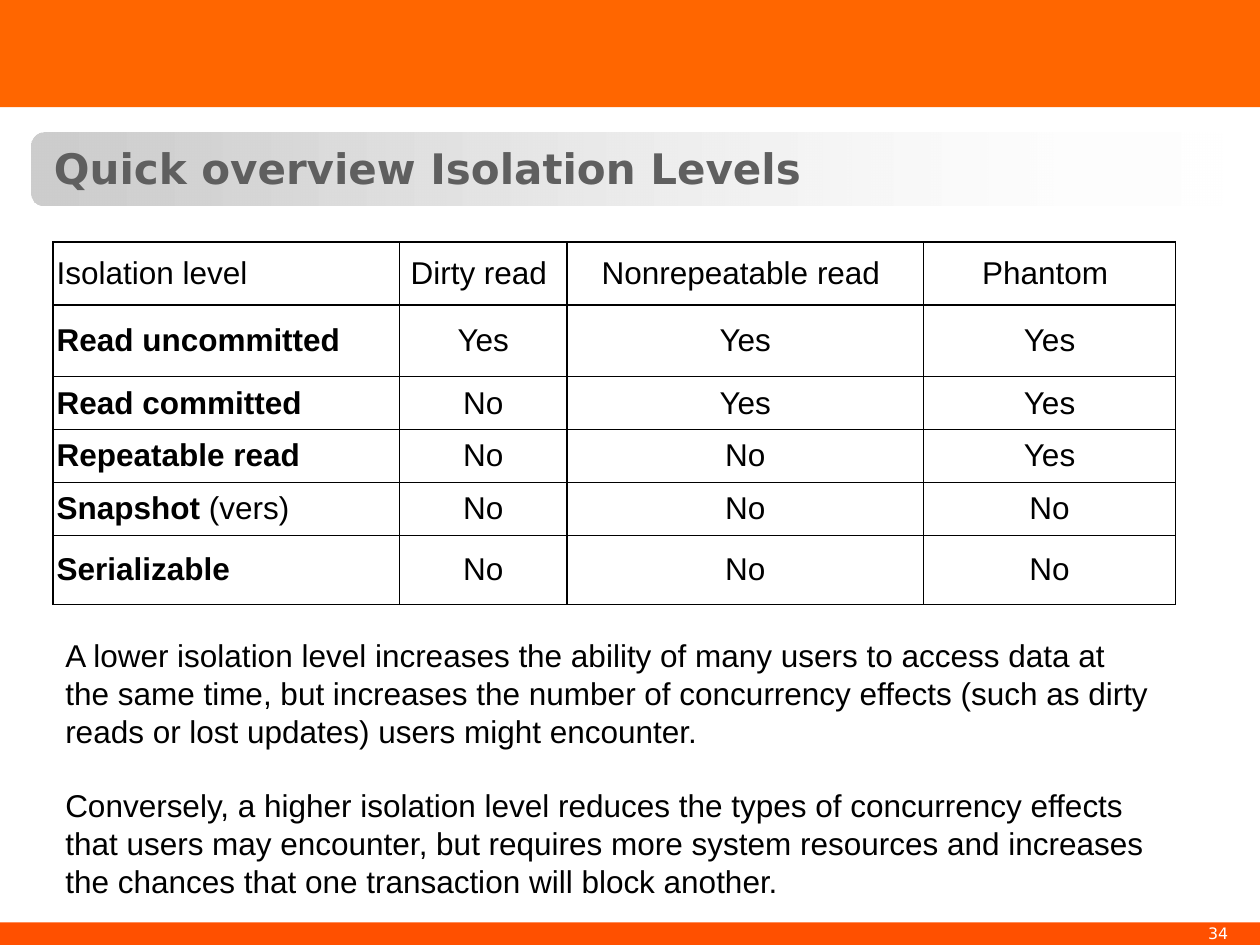
from lxml.etree import SubElement
from pptx import Presentation
from pptx.dml.color import RGBColor
from pptx.enum.shapes import MSO_SHAPE
from pptx.enum.text import MSO_ANCHOR, PP_ALIGN
from pptx.oxml import parse_xml
from pptx.oxml.ns import nsdecls, qn
from pptx.util import Inches, Pt

ORANGE = RGBColor(0xFF, 0x66, 0x00)
DARK_ORANGE = RGBColor(0xFF, 0x50, 0x00)
SILVER = RGBColor(0xCD, 0xCD, 0xCD)
GRAY = RGBColor(0x5F, 0x5F, 0x5F)
WHITE = RGBColor(0xFF, 0xFF, 0xFF)
BLACK = RGBColor(0x00, 0x00, 0x00)

COL_WIDTHS = [2.75, 1.33, 2.83, 2]
ROW_HEIGHTS = [0.5, 0.57, 0.42, 0.42, 0.42, 0.55]
HEADER = ["Isolation level", "Dirty read ", "Nonrepeatable read ", "Phantom "]
LEVELS = [
    ("Read uncommitted", "", "Yes", "Yes", "Yes"),
    ("Read committed", "", "No", "Yes", "Yes"),
    ("Repeatable read", "", "No", "No", "Yes"),
    ("Snapshot ", "(vers)", "No", "No", "No"),
    ("Serializable", "", "No", "No", "No"),
]
EXPLANATION = [
    "A lower isolation level increases the ability of many users to access data at "
    "the same time, but increases the number of concurrency effects (such as dirty "
    "reads or lost updates) users might encounter.",
    "Conversely, a higher isolation level reduces the types of concurrency effects "
    "that users may encounter, but requires more system resources and increases "
    "the chances that one transaction will block another.",
]


def format_run(r, size, color, font="Arial", bold=False):
    r.font.size = Pt(size)
    r.font.name = font
    r.font.bold = bold
    r.font.color.rgb = color


def add_plain_shape(s, kind, left, top, width, height):
    sp = s.shapes.add_shape(kind, Inches(left), Inches(top), Inches(width), Inches(height))
    sp.shadow.inherit = False
    sp.line.fill.background()
    return sp


def add_band(s, top, height, color):
    sp = add_plain_shape(s, MSO_SHAPE.RECTANGLE, 0, top, 10, height)
    sp.fill.solid()
    sp.fill.fore_color.rgb = color


def add_title_bar(s):
    sp = add_plain_shape(s, MSO_SHAPE.ROUNDED_RECTANGLE, 0.25, 1.05, 9.5, 0.58)
    sp.fill.gradient()
    sp.fill.gradient_angle = 0
    for stop, color in zip(sp.fill.gradient_stops, (SILVER, WHITE)):
        stop.color.rgb = color
    fade = sp._element.spPr.findall(".//" + qn("a:srgbClr"))[-1]
    SubElement(fade, qn("a:alpha"), val="0")


def add_text(s, box, paragraphs, size, color, font="Arial", bold=False,
             anchor=MSO_ANCHOR.TOP, gap=0):
    tf = s.shapes.add_textbox(*map(Inches, box)).text_frame
    tf.word_wrap = True
    tf.vertical_anchor = anchor
    tf.text = "\n".join(paragraphs)
    for i, p in enumerate(tf.paragraphs):
        if i:
            p.space_before = Pt(gap)
        for r in p.runs:
            format_run(r, size, color, font, bold)


def add_borders(cell):
    tcPr = cell._tc.get_or_add_tcPr()
    for i, side in enumerate(("lnL", "lnR", "lnT", "lnB")):
        tcPr.insert(i, parse_xml(
            f'<a:{side} {nsdecls("a")} w="{Pt(1)}"><a:solidFill>'
            f'<a:srgbClr val="{BLACK}"/></a:solidFill></a:{side}>'))


def fill_cell(cell, parts, align):
    cell.fill.background()
    cell.vertical_anchor = MSO_ANCHOR.MIDDLE
    cell.margin_left = cell.margin_right = Inches(0.03)
    cell.margin_top = cell.margin_bottom = Inches(0.01)
    p = cell.text_frame.paragraphs[0]
    p.alignment = align
    for text, bold in parts:
        if text:
            r = p.add_run()
            r.text = text
            format_run(r, 18, BLACK, bold=bold)
    add_borders(cell)


def add_levels_table(s):
    rows = [[[(text, False)] for text in HEADER]]
    for name, note, *answers in LEVELS:
        rows.append([[(name, True), (note, False)]] + [[(a, False)] for a in answers])
    table = s.shapes.add_table(
        len(rows), len(HEADER), Inches(0.42), Inches(1.92),
        Inches(sum(COL_WIDTHS)), Inches(sum(ROW_HEIGHTS))).table
    table.first_row = table.horz_banding = False
    for col, width in zip(table.columns, COL_WIDTHS):
        col.width = Inches(width)
    for row, height, contents in zip(table.rows, ROW_HEIGHTS, rows):
        row.height = Inches(height)
        for i, (cell, parts) in enumerate(zip(row.cells, contents)):
            fill_cell(cell, parts, PP_ALIGN.CENTER if i else PP_ALIGN.LEFT)


def main():
    prs = Presentation()
    prs.slide_width, prs.slide_height = Inches(10), Inches(7.5)
    s = prs.slides.add_slide(prs.slide_layouts[6])
    add_band(s, 7.32, 0.18, DARK_ORANGE)
    add_band(s, 0, 0.85, ORANGE)
    add_text(s, (9.49, 7.28, 0.5, 0.25), ["34"], 9, WHITE, "DejaVu Sans")
    for _ in range(2):
        add_title_bar(s)
    add_text(s, (0.33, 1.08, 9.42, 0.5), ["Quick overview Isolation Levels"], 24, GRAY,
             "DejaVu Sans", True, MSO_ANCHOR.MIDDLE)
    add_levels_table(s)
    add_text(s, (0.42, 5, 8.83, 2.22), EXPLANATION, 18, BLACK, gap=21)
    prs.save("out.pptx")


if __name__ == "__main__":
    main()
